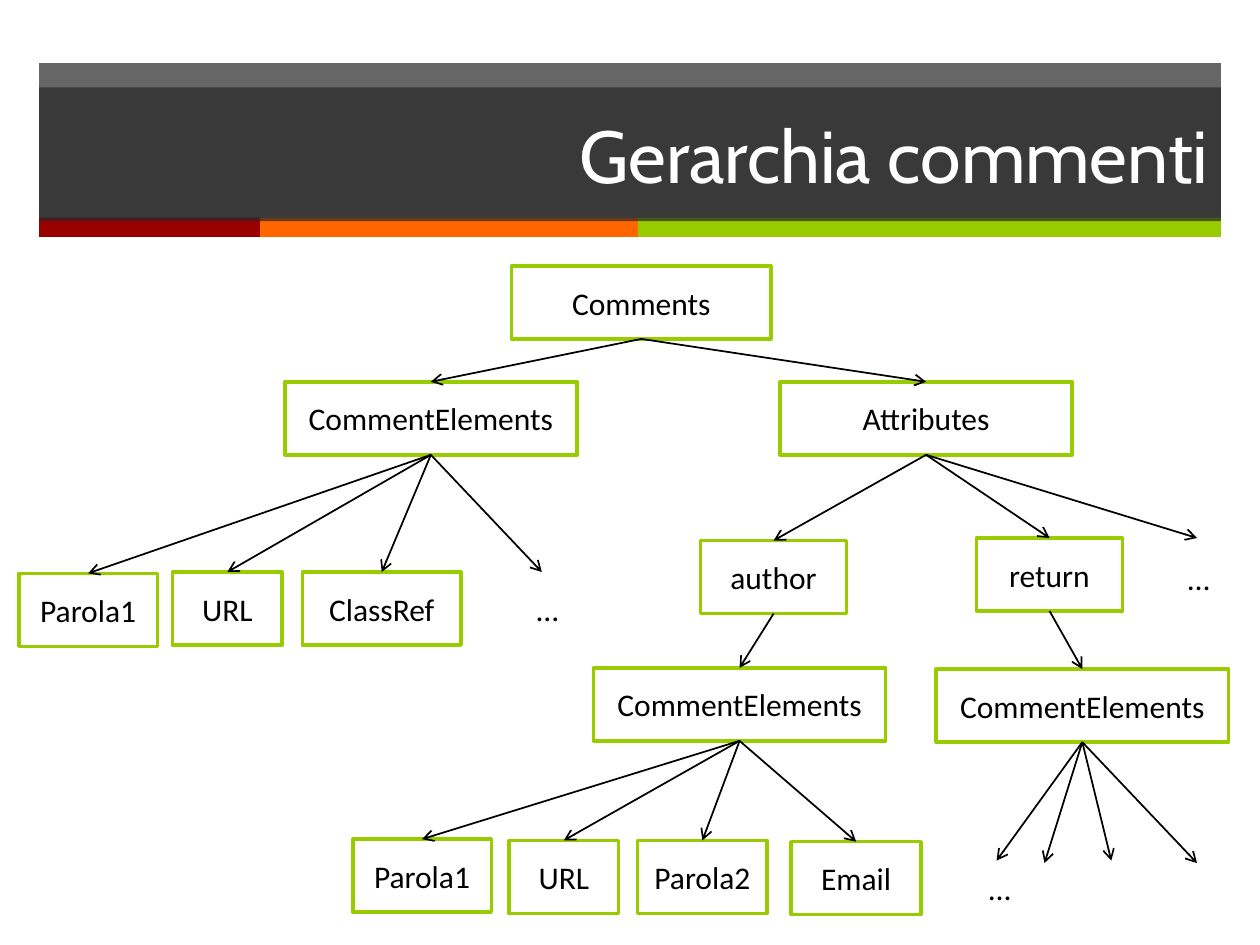
from dataclasses import dataclass

from lxml import etree
from pptx import Presentation, util as u
from pptx.dml.color import RGBColor
from pptx.enum import shapes, text
from pptx.oxml.ns import qn


@dataclass(frozen=True)
class Theme:
    white: str = "FFFFFF"
    ink: str = "000000"
    panel: str = "262626"
    panel_alpha: int = 70
    stripes: tuple = ("990000", "FF6600", "99CC00")
    accent: str = "99CC00"
    title_font: str = "Cabin"
    body_font: str = "Calibri"
    title_size: int = 42
    body_size: int = 18


@dataclass(frozen=True)
class Box:
    left: float
    top: float
    width: float
    height: float

    def share(self, left, top, width, height):
        return Box(self.left + left * self.width, self.top + top * self.height,
                   width * self.width, height * self.height)

    def emu(self):
        return [u.Inches(v) for v in (self.left, self.top, self.width, self.height)]


@dataclass(frozen=True)
class Node:
    """A labelled box, or only an arrow tip where the label is empty."""
    label: str
    centre: float
    top: float
    width: float = 0
    children: tuple = ()


THEME = Theme()
SLIDE = Box(0, 0, 10, 7.5)
HEADER = Box(0.31, 0.5, 9.38, 1.38)
TREE = Box(0, 2.1, 10, 5.2)
COLUMNS, ROWS = 100, 52
NODE_ROWS = 5.8

HIERARCHY = Node("Comments", 50.9, 0.1, 20.6, (
    Node("CommentElements", 34.2, 9.3, 23.2, (
        Node("Parola1", 7, 24.5, 11),
        Node("URL", 18.05, 24.4, 8.7),
        Node("ClassRef", 30.3, 24.4, 12.6),
        Node("", 43, 24.4))),
    Node("Attributes", 73.5, 9.3, 23.2, (
        Node("author", 61.4, 21.9, 11.6, (
            Node("CommentElements", 58.7, 32, 23.2, (
                Node("Parola1", 33.5, 45.6, 11),
                Node("URL", 44.75, 45.7, 8.7),
                Node("Parola2", 55.75, 45.7, 10.3),
                Node("Email", 67.95, 45.8, 10.3))),)),
        Node("return", 83.3, 21.7, 11.6, (
            Node("CommentElements", 85.9, 32.1, 23.2, (
                Node("", 79.1, 47.3),
                Node("", 82.9, 47.5),
                Node("", 88.2, 47.3),
                Node("", 95, 47.5))),)),
        Node("", 95, 21.7)))))
ELLIPSES = ((77.5, 47.5), (41.6, 25.3), (93.3, 22.9))


def color(value):
    return RGBColor.from_string(value)


def fill_shape(shape, value, alpha=None):
    shape.fill.solid()
    shape.fill.fore_color.rgb = color(value)
    if alpha is not None:
        element = shape.fill._xPr.find(qn("a:solidFill"))[0]
        etree.SubElement(element, qn("a:alpha"), val=str(alpha * 1000))


def add_rectangle(slide, box, value, alpha=None):
    shape = slide.shapes.add_shape(shapes.MSO_SHAPE.RECTANGLE, *box.emu())
    shape.shadow.inherit = False
    fill_shape(shape, value, alpha)
    shape.line.fill.background()
    return shape


def set_text(shape, words, font, size, value, align):
    frame = shape.text_frame
    frame.text = words
    paragraph = frame.paragraphs[0]
    paragraph.alignment = align
    style = paragraph.runs[0].font
    style.name, style.size = font, u.Pt(size)
    style.color.rgb = color(value)


def set_body_text(shape, words, align):
    set_text(shape, words, THEME.body_font, THEME.body_size, THEME.ink, align)


def add_header(slide, box, words):
    add_rectangle(slide, box.share(0, 0, 1, 0.9), THEME.panel, THEME.panel_alpha)
    edges = (0, 0.187, 0.507, 1)
    for start, end, value in zip(edges, edges[1:], THEME.stripes):
        add_rectangle(slide, box.share(start, 0.89, end - start, 0.11), value)
    title = slide.shapes.title
    place = box.share(0, 0.14, 1, 0.77)
    title.left, title.top, title.width, title.height = place.emu()
    fill_shape(title, THEME.panel, THEME.panel_alpha)
    set_text(title, words, THEME.title_font, THEME.title_size, THEME.white,
             text.PP_ALIGN.RIGHT)
    title.text_frame.vertical_anchor = text.MSO_ANCHOR.MIDDLE
    slide.shapes._spTree.append(title._element)  # in front of the panel


def grid_box(box, column, row, columns, rows):
    return box.share(column / COLUMNS, row / ROWS, columns / COLUMNS, rows / ROWS)


def add_node_box(slide, box, node):
    place = grid_box(box, node.centre - node.width / 2, node.top, node.width, NODE_ROWS)
    shape = add_rectangle(slide, place, THEME.white)
    shape.line.color.rgb = color(THEME.accent)
    shape.line.width = u.Pt(2)
    set_body_text(shape, node.label, text.PP_ALIGN.CENTER)
    shape.text_frame.word_wrap = False
    shape.text_frame.vertical_anchor = text.MSO_ANCHOR.MIDDLE
    return shape


def add_arrow(slide, box, parent, child, tip):
    end = grid_box(box, tip.centre, tip.top, 0, 0).emu()[:2]
    arrow = slide.shapes.add_connector(shapes.MSO_CONNECTOR.STRAIGHT, *end, *end)
    arrow.begin_connect(parent, 2)
    if child is not None:
        arrow.end_connect(child, 0)
    arrow.line.color.rgb = color(THEME.ink)
    arrow.line.width = u.Pt(1)
    etree.SubElement(arrow.line._get_or_add_ln(), qn("a:tailEnd"), type="arrow")
    etree.SubElement(arrow._element.spPr, qn("a:effectLst"))


def add_branch(slide, box, node):
    """Draws a node with all below it, and returns the node's shape."""
    if not node.label:
        return None
    shape = add_node_box(slide, box, node)
    for child in node.children:
        add_arrow(slide, box, shape, add_branch(slide, box, child), child)
    return shape


def add_ellipsis(slide, box, column, row):
    place = grid_box(box, column, row, 3.8, 4)
    shape = slide.shapes.add_textbox(*place.emu())
    set_body_text(shape, "…", text.PP_ALIGN.LEFT)
    shape.text_frame.word_wrap = False
    shape.text_frame.auto_size = text.MSO_AUTO_SIZE.SHAPE_TO_FIT_TEXT


def add_tree(slide, box, root):
    add_branch(slide, box, root)
    for column, row in ELLIPSES:
        add_ellipsis(slide, box, column, row)


def main():
    presentation = Presentation()
    presentation.slide_width = u.Inches(SLIDE.width)
    presentation.slide_height = u.Inches(SLIDE.height)
    slide = presentation.slides.add_slide(presentation.slide_layouts[5])
    add_header(slide, HEADER, "Gerarchia commenti")
    add_tree(slide, TREE, HIERARCHY)
    presentation.save("out.pptx")


if __name__ == "__main__":
    main()
